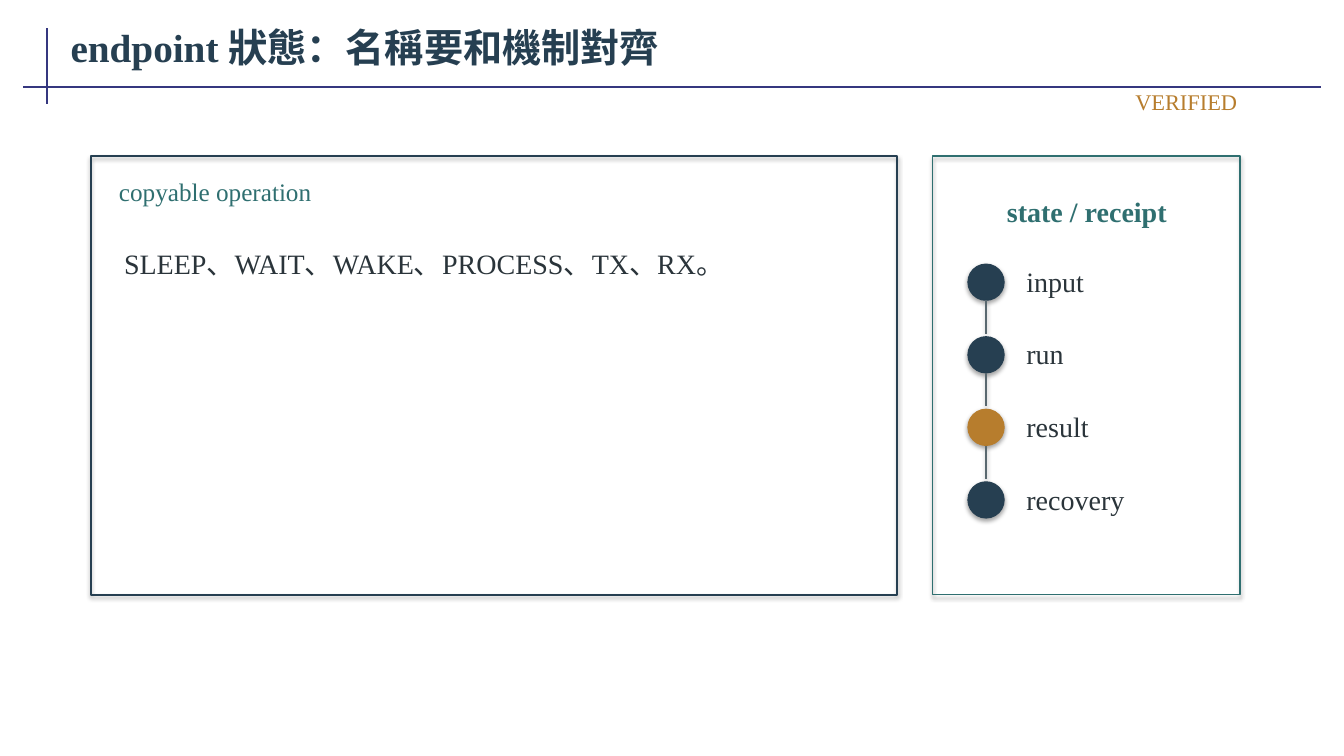
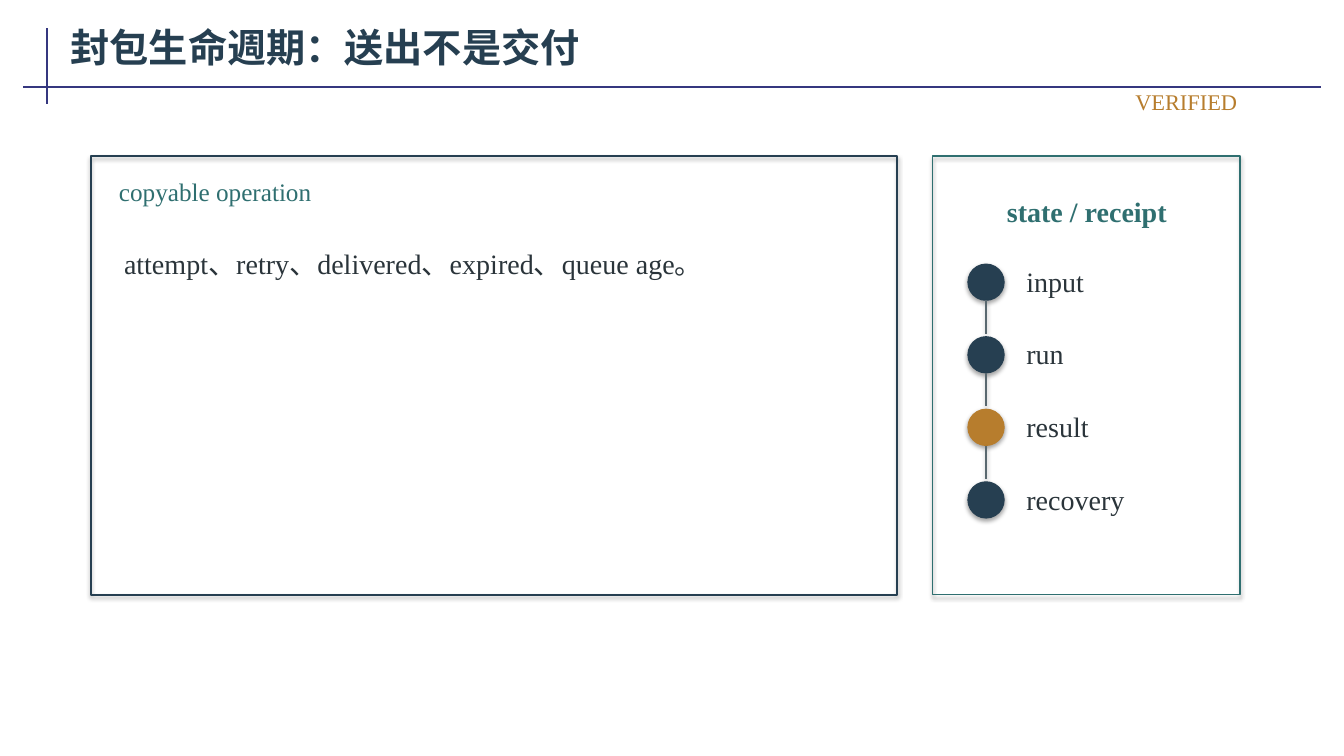
from lxml import etree
from pptx import Presentation
from pptx.dml.color import RGBColor
from pptx.enum.shapes import MSO_CONNECTOR, MSO_SHAPE
from pptx.enum.text import MSO_ANCHOR, MSO_AUTO_SIZE, PP_ALIGN
from pptx.oxml.ns import qn
from pptx.util import Inches, Pt

FONT = "Times New Roman"
COLORS = {
    "rule": "35377F",
    "navy": "263F51",
    "teal": "2F6F70",
    "amber": "B77D2D",
    "ink": "2A343A",
    "grey": "59686F",
}
TITLE_ONLY = 5

STEPS = [("input", "navy"), ("run", "navy"), ("result", "amber"), ("recovery", "navy")]
STEP_LEFT, STEP_TOP, STEP_PITCH = 9.6, 2.62, 0.72
DOT_SIZE, LINK_LENGTH = 0.36, 0.33

SLIDES = [
    ("endpoint 狀態：名稱要和機制對齊", "SLEEP、WAIT、WAKE、PROCESS、TX、RX。"),
    ("封包生命週期：送出不是交付", "attempt、retry、delivered、expired、queue age。"),
]


def color(name):
    return RGBColor.from_string(COLORS[name])


class Deck:
    """Holds the presentation, its style and the slide being drawn."""

    def __init__(self):
        self.presentation = Presentation()
        self.presentation.slide_width = Inches(13.33)
        self.presentation.slide_height = Inches(7.5)
        self.slide = None

    def new_slide(self, title):
        layout = self.presentation.slide_layouts[TITLE_ONLY]
        self.slide = self.presentation.slides.add_slide(layout)
        self.line(0.47, 0.28, 0.47, 1.03, "rule", 1.5, shadow=False)
        self.line(0.23, 0.86, 13.1, 0.86, "rule", 1.5, shadow=False)
        shape = self.slide.shapes.title
        shape.left, shape.top = Inches(0.62), Inches(0.15)
        shape.width, shape.height = Inches(12.49), Inches(0.62)
        self.set_text(shape, title, 28, "navy", bold=True)
        shape.text_frame.auto_size = MSO_AUTO_SIZE.NONE

    def set_text(self, shape, text, size, color_name, bold=False, align=PP_ALIGN.LEFT):
        frame = shape.text_frame
        frame.word_wrap = True
        frame.vertical_anchor = MSO_ANCHOR.MIDDLE
        frame.margin_left = frame.margin_right = Inches(0.08)
        frame.margin_top = frame.margin_bottom = Inches(0.04)
        frame.text = text
        paragraph = frame.paragraphs[0]
        paragraph.alignment = align
        font = paragraph.runs[0].font
        font.name, font.size, font.bold = FONT, Pt(size), bold
        font.color.rgb = color(color_name)

    def text(self, left, top, width, height, text, size, color_name, **style):
        box = self.slide.shapes.add_textbox(
            Inches(left), Inches(top), Inches(width), Inches(height))
        self.set_text(box, text, size, color_name, **style)
        box.text_frame.auto_size = MSO_AUTO_SIZE.SHAPE_TO_FIT_TEXT

    def panel(self, left, top, width, height, color_name, weight):
        """Draw an unfilled frame that keeps the theme's soft shadow."""
        shape = self.slide.shapes.add_shape(
            MSO_SHAPE.RECTANGLE, Inches(left), Inches(top), Inches(width), Inches(height))
        shape.fill.background()
        shape.line.color.rgb = color(color_name)
        shape.line.width = Pt(weight)

    def dot(self, left, top, color_name):
        shape = self.slide.shapes.add_shape(
            MSO_SHAPE.OVAL, Inches(left), Inches(top), Inches(DOT_SIZE), Inches(DOT_SIZE))
        shape.fill.solid()
        shape.fill.fore_color.rgb = color(color_name)
        shape.line.color.rgb = color(color_name)
        shape.line.width = Pt(0.75)

    def line(self, x1, y1, x2, y2, color_name, weight, shadow=True):
        connector = self.slide.shapes.add_connector(
            MSO_CONNECTOR.STRAIGHT, Inches(x1), Inches(y1), Inches(x2), Inches(y2))
        connector.line.color.rgb = color(color_name)
        connector.line.width = Pt(weight)
        if not shadow:
            properties = connector.element.find(qn("p:spPr"))
            etree.SubElement(properties, qn("a:effectLst"))

    def operation(self, text):
        self.panel(0.9, 1.55, 8, 4.35, "navy", 1.4)
        self.text(1.1, 1.72, 7.6, 0.35, "copyable operation", 18, "teal")
        self.text(1.15, 2.25, 7.35, 0.72, text, 20, "ink")

    def receipt(self):
        self.panel(9.25, 1.55, 3.05, 4.35, "teal", 1.1)
        self.text(9.48, 1.82, 2.6, 0.55, "state / receipt", 20, "teal",
                  bold=True, align=PP_ALIGN.CENTER)
        center = STEP_LEFT + DOT_SIZE / 2
        for index, (label, color_name) in enumerate(STEPS):
            top = STEP_TOP + index * STEP_PITCH
            bottom = top + DOT_SIZE
            self.dot(STEP_LEFT, top, color_name)
            self.text(STEP_LEFT + 0.5, top - 0.03, 1.85, 0.4, label, 20, "ink")
            if index < len(STEPS) - 1:
                self.line(center, bottom, center, bottom + LINK_LENGTH, "grey", 0.9)

    def status(self, text):
        self.text(9.15, 0.86, 3.2, 0.3, text, 16, "amber", align=PP_ALIGN.RIGHT)


def main():
    deck = Deck()
    for title, operation in SLIDES:
        deck.new_slide(title)
        deck.operation(operation)
        deck.receipt()
        deck.status("VERIFIED")
    deck.presentation.save("out.pptx")


if __name__ == "__main__":
    main()
